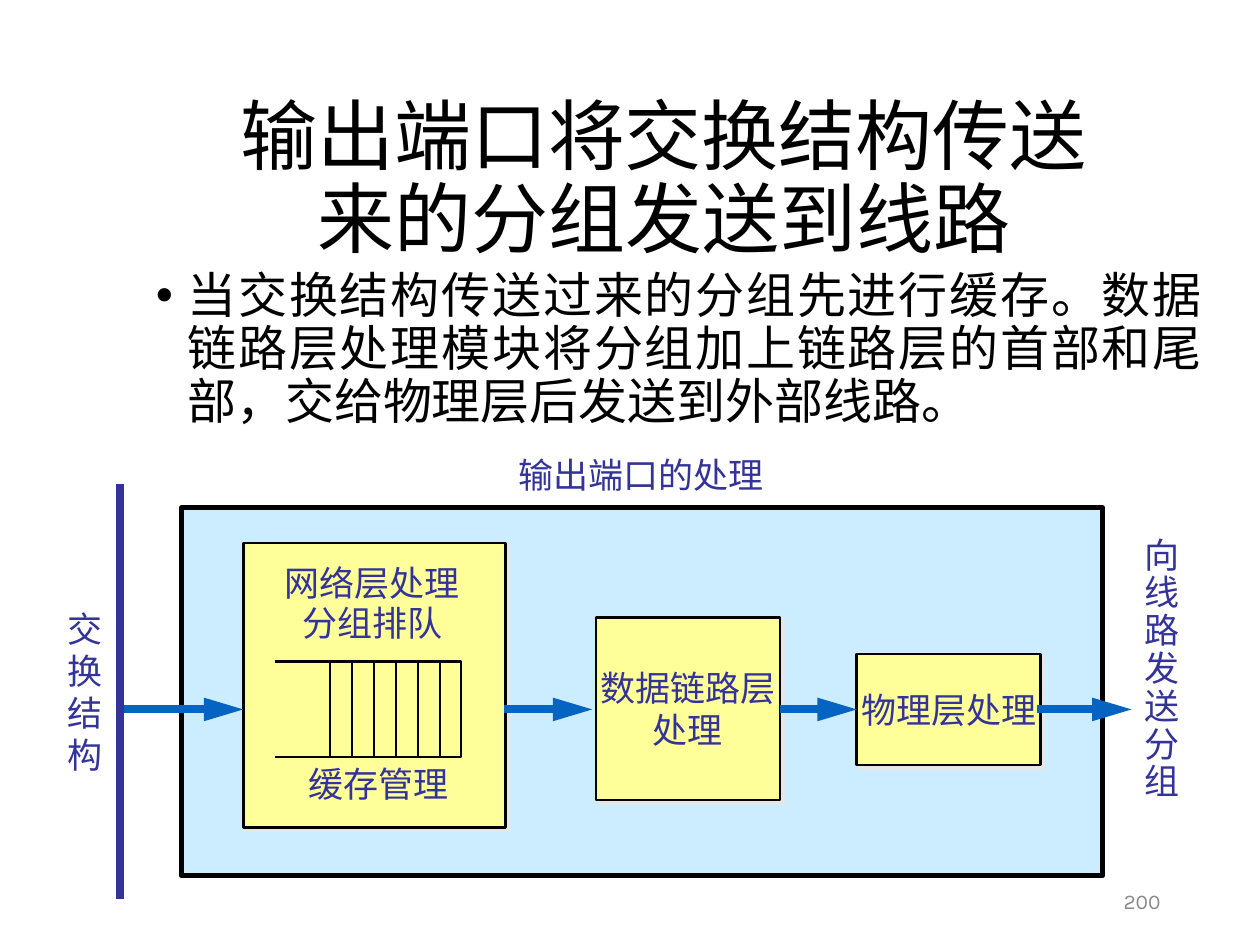
"""Build a slide on how an output port sends packets to the line."""
from lxml import etree
from pptx import Presentation
from pptx.dml.color import RGBColor
from pptx.enum.shapes import MSO_CONNECTOR, MSO_SHAPE
from pptx.enum.text import MSO_ANCHOR, PP_ALIGN
from pptx.oxml.ns import qn
from pptx.util import Pt

RECT, LINE = MSO_SHAPE.RECTANGLE, MSO_CONNECTOR.STRAIGHT
TOP, MID = MSO_ANCHOR.TOP, MSO_ANCHOR.MIDDLE
LEFT, RIGHT = PP_ALIGN.LEFT, PP_ALIGN.RIGHT
CENTER, JUST = PP_ALIGN.CENTER, PP_ALIGN.JUSTIFY
BLACK, NAVY, BLUE, GRAY = "000000", "333399", "0563C1", "898989"
SKY, CREAM, SHADE = "CCECFF", "FFFF99", "E7E6E6"

LABEL = {"name": "Arial", "size": Pt(20)}
TITLE = {"name": "Calibri", "size": Pt(44)}
BODY = {"name": "Calibri", "size": Pt(28)}
PAGE = {"name": "Karla", "size": Pt(12)}

PORT = (103.7, 290.2, 526.3, 210.2)
STAGES = [
    ((489.6, 373.7, 105.1, 63.4), ["物理层处理"]),
    ((340.6, 352.8, 105.1, 104.4), ["数据链路层", "处理"]),
    ((139, 310.3, 149.8, 162.7), []),
]
FLOW = 405.4
ARROWS = [(592.6, 646.6), (445.7, 489.6), (288, 338.4), (68.4, 139)]
FABRIC = (68.4, 276.5, 68.4, 514)
QUEUE = (157, 378, 263.5, 432.6)
SLOTS, FIRST, STEP = 6, 188.6, 12.55

LABELS = [
    ((155.5, 319, 114.5, 52.6), ["网络层处理", "分组排队"], 0.95),
    ((283, 255.6, 167, 31.5), ["输出端口的处理"], 1),
    ((646.6, 303.8, 34.6, 158.4), list("向线路发送分组"), 0.9),
    ((169.2, 432, 94.3, 31), ["缓存管理"], 1),
    ((31, 343.4, 34.6, 103), list("交换结构"), 1),
]
TEXTS = [
    ((109.4, 73.4, 540, 60.5), "输出端口将交换结构传送来的分组发送到线路",
     TITLE, BLACK, CENTER, MID, 0.9),
    ((82, 151.2, 612, 108.7),
     "当交换结构传送过来的分组先进行缓存。数据链路层处理模块将分组"
     "加上链路层的首部和尾部，交给物理层后发送到外部线路。",
     BODY, BLACK, JUST, TOP, 0.9),
    ((508.3, 500.4, 162, 28.8), "200", PAGE, GRAY, RIGHT, MID, 1),
]


def color(code):
    """Turn a hex string into a colour."""
    return RGBColor.from_string(code)


def pts(nums):
    """Turn numbers into point lengths."""
    return [Pt(n) for n in nums]


def write(shape, lines, font, code, align=CENTER, anchor=TOP, gap=1, wrap=False):
    """Put styled paragraphs into a shape."""
    frame = shape.text_frame
    frame.word_wrap, frame.vertical_anchor = wrap, anchor
    for num, line in enumerate(lines):
        para = frame.add_paragraph() if num else frame.paragraphs[0]
        if align == JUST:
            props = para._p.get_or_add_pPr()
            props.set("marL", str(Pt(18)))
            props.set("indent", str(-Pt(18)))
            etree.SubElement(props, qn("a:buFont"), typeface="Arial")
            etree.SubElement(props, qn("a:buChar"), char="•")
        para.alignment, para.line_spacing = align, gap
        run = para.add_run()
        run.text = line
        for key, value in font.items():
            setattr(run.font, key, value)
        run.font.color.rgb = color(code)


def box(slide, area, fill, width):
    """Add a filled rectangle with a black edge."""
    shape = slide.shapes.add_shape(RECT, *pts(area))
    shape.fill.solid()
    shape.fill.fore_color.rgb = color(fill)
    shape.line.color.rgb = color(BLACK)
    shape.line.width = Pt(width)
    shape.shadow.inherit = False
    return shape


def shade(shape):
    """Give a shape a hard offset shadow."""
    effects = shape._element.spPr.find(qn("a:effectLst"))
    outer = etree.SubElement(effects, qn("a:outerShdw"), blurRad="0",
                             dist=str(Pt(2.8)), dir="2700000", algn="ctr")
    etree.SubElement(outer, qn("a:srgbClr"), val=SHADE)


def rule(slide, ends, code, width, head=False):
    """Add a straight line or an arrow."""
    line = slide.shapes.add_connector(LINE, *pts(ends))
    line.line.color.rgb = color(code)
    line.line.width = Pt(width)
    props = line._element.spPr
    if head:
        etree.SubElement(props.find(qn("a:ln")), qn("a:tailEnd"),
                         type="triangle", w="med", len="lg")
    etree.SubElement(props, qn("a:effectLst"))


def queue(slide):
    """Draw the open buffer and its slots."""
    left, top, right, low = pts(QUEUE)
    path = slide.shapes.build_freeform(left, top)
    path.add_line_segments([(right, top), (right, low), (left, low)], close=False)
    shape = path.convert_to_shape()
    shape.fill.background()
    shape.line.color.rgb = color(BLACK)
    shape.line.width = Pt(1.5)
    shape.shadow.inherit = False
    for num in range(SLOTS):
        x = FIRST + num * STEP
        rule(slide, (x, QUEUE[1], x, QUEUE[3]), BLACK, 0.75)


def main():
    """Build and save the slide."""
    deck = Presentation()
    deck.slide_width, deck.slide_height = Pt(720), Pt(540)
    slide = deck.slides.add_slide(deck.slide_layouts[6])
    for area, text, font, code, align, anchor, gap in TEXTS:
        write(slide.shapes.add_textbox(*pts(area)), [text], font, code,
              align, anchor, gap, True)
    box(slide, PORT, SKY, 3)
    for area, lines in STAGES:
        stage = box(slide, area, CREAM, 1.5)
        shade(stage)
        write(stage, lines, LABEL, NAVY, anchor=MID)
    for start, end in ARROWS:
        rule(slide, (start, FLOW, end, FLOW), BLUE, 4.5, True)
    rule(slide, FABRIC, NAVY, 4.5)
    queue(slide)
    for area, lines, gap in LABELS:
        write(slide.shapes.add_textbox(*pts(area)), lines, LABEL, NAVY, gap=gap)
    deck.save("out.pptx")


if __name__ == "__main__":
    main()
